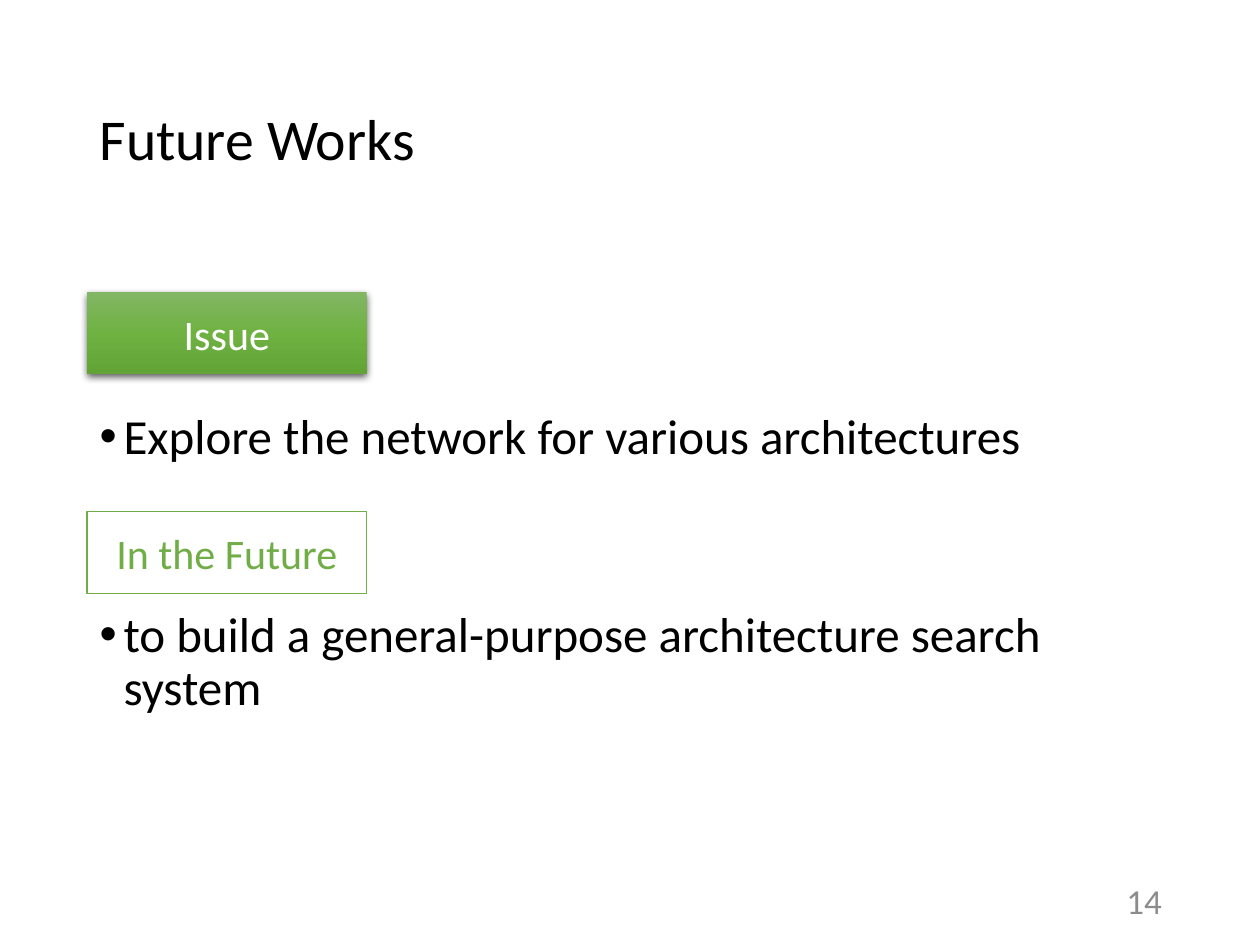
from copy import deepcopy

from lxml import etree
from pptx import Presentation
from pptx.dml.color import RGBColor
from pptx.enum.shapes import MSO_SHAPE
from pptx.enum.text import MSO_ANCHOR, MSO_AUTO_SIZE, PP_ALIGN
from pptx.oxml.ns import qn
from pptx.util import Inches, Pt

RECT = MSO_SHAPE.RECTANGLE
MIDDLE = MSO_ANCHOR.MIDDLE
NO_FIT = MSO_AUTO_SIZE.NONE
LEFT, CENTER, RIGHT = PP_ALIGN.LEFT, PP_ALIGN.CENTER, PP_ALIGN.RIGHT
FONT = "Calibri"
GREEN = "70AD47"


def color(text):
    return RGBColor.from_string(text)


def place(shape, box):
    shape.left, shape.top, shape.width, shape.height = map(Inches, box)


def style(para, size, tint, align):
    para.alignment = align
    para.font.name = FONT
    para.font.size = Pt(size)
    para.font.color.rgb = color(tint)


def write(shape, text, size, tint, align):
    frame = shape.text_frame
    frame.word_wrap = True
    frame.auto_size = NO_FIT
    frame.vertical_anchor = MIDDLE
    frame.text = text
    style(frame.paragraphs[0], size, tint, align)


def add_title(slide, box, text):
    title = slide.shapes.title
    place(title, box)
    write(title, text, 33, "000000", LEFT)
    title.text_frame.paragraphs[0].line_spacing = 0.9


def add_list(slide, box, inset, items):
    body = slide.placeholders[1]
    place(body, box)
    frame = body.text_frame
    frame.auto_size = NO_FIT
    frame.margin_top = Inches(inset)
    frame.text = "\n".join(text for text, gap in items)
    for para, (text, gap) in zip(frame.paragraphs, items):
        style(para, 28, "000000", LEFT)
        para.line_spacing = 0.9
        para.space_before = Pt(gap)
        props = para._p.get_or_add_pPr()
        props.set("marL", str(Inches(0.19)))
        props.set("indent", str(Inches(-0.19)))


def add_label(slide, box, text, tint):
    label = slide.shapes.add_shape(RECT, *map(Inches, box))
    label.shadow.inherit = False
    write(label, text, 24, tint, CENTER)
    return label


def shade(shape, tints):
    shape.line.fill.background()
    fill = shape.fill
    fill.gradient()
    fill.gradient_angle = 270
    stops = shape._element.spPr.find(".//" + qn("a:gsLst"))
    stops.insert(1, deepcopy(stops[0]))
    stops[1].set("pos", "50000")
    for stop, tint in zip(fill.gradient_stops, tints):
        stop.color.rgb = color(tint)


def cast(shape):
    effects = shape._element.spPr.find(qn("a:effectLst"))
    shadow = etree.SubElement(
        effects, qn("a:outerShdw"), blurRad=str(Pt(4.5)),
        dist=str(Pt(1.5)), dir="5400000", algn="ctr", rotWithShape="0")
    black = etree.SubElement(shadow, qn("a:srgbClr"), val="000000")
    etree.SubElement(black, qn("a:alpha"), val="63000")


def add_issue(slide, box):
    label = add_label(slide, box, "Issue", "FFFFFF")
    shade(label, ("82B664", "6FB242", "62A336"))
    cast(label)


def add_future(slide, box):
    label = add_label(slide, box, "In the Future", GREEN)
    label.fill.background()
    label.line.color.rgb = color(GREEN)
    label.line.width = Pt(0.75)


def add_number(slide, box, text):
    number = slide.shapes.add_textbox(*map(Inches, box))
    write(number, text, 20, "8C8C8C", RIGHT)


def main():
    deck = Presentation()
    deck.slide_width, deck.slide_height = Inches(10), Inches(7.5)
    slide = deck.slides.add_slide(deck.slide_layouts[1])
    add_title(slide, (0.69, 0.4, 8.62, 1.45), "Future Works")
    add_list(slide, (0.69, 2, 8.62, 4.76), 1.27, (
        ("Explore the network for various architectures", 0),
        ("to build a general-purpose architecture search system", 83)))
    add_number(slide, (7.07, 6.95, 2.25, 0.4), "14")
    add_issue(slide, (0.69, 2.32, 2.22, 0.65))
    add_future(slide, (0.69, 4.06, 2.22, 0.65))
    deck.save("out.pptx")


if __name__ == "__main__":
    main()
